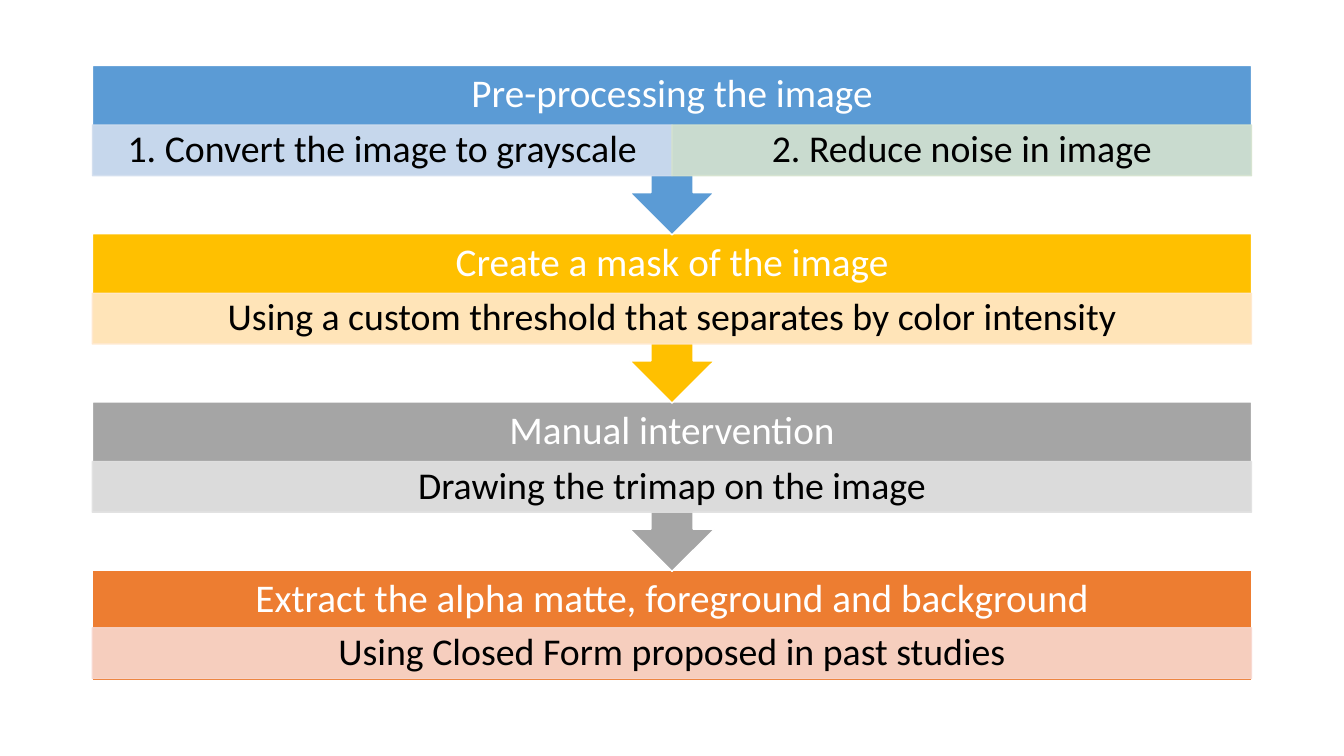
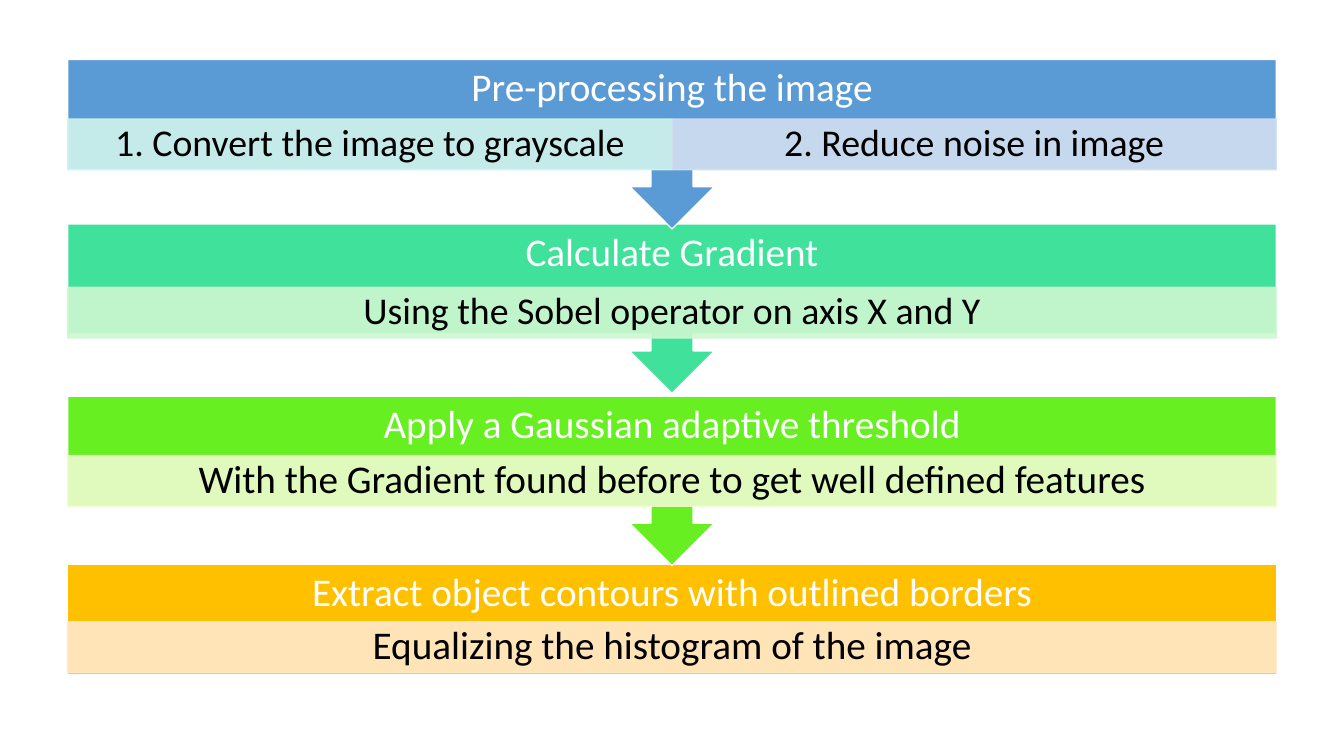
from lxml import etree
from pptx import Presentation
from pptx.dml.color import RGBColor
from pptx.enum.shapes import MSO_SHAPE as Shape
from pptx.enum.text import MSO_ANCHOR as Anchor, PP_ALIGN as Align
from pptx.oxml.ns import qn
from pptx.util import Cm, Pt

WHITE = RGBColor(0xFF, 0xFF, 0xFF)
BLACK = RGBColor(0x00, 0x00, 0x00)
BLUE = RGBColor(0x5B, 0x9B, 0xD5)
GOLD = RGBColor(0xFF, 0xC0, 0x00)
GRAY = RGBColor(0xA5, 0xA5, 0xA5)
ORANGE = RGBColor(0xED, 0x7D, 0x31)
MINT = RGBColor(0x3F, 0xE1, 0x9B)
LIME = RGBColor(0x67, 0xEF, 0x21)
PALE_BLUE = RGBColor(0xD2, 0xDE, 0xEF)
PALE_SKY = RGBColor(0xD2, 0xDF, 0xF0)
PALE_SAGE = RGBColor(0xD5, 0xE3, 0xCF)
PALE_TEAL = RGBColor(0xD0, 0xF4, 0xED)
PALE_GOLD = RGBColor(0xFF, 0xE8, 0xCC)
PALE_GRAY = RGBColor(0xE1, 0xE1, 0xE1)
PALE_ORANGE = RGBColor(0xF8, 0xD7, 0xCE)
PALE_MINT = RGBColor(0xCF, 0xF8, 0xD1)
PALE_LIME = RGBColor(0xED, 0xFC, 0xCD)

FONT = "Calibri"
SLIDE_WIDTH, SLIDE_HEIGHT = 33.87, 19.05
STAGE_PITCH = 4.24
CALLOUT_HEIGHT, LAST_HEIGHT = 4.27, 2.79
TITLE_HEIGHT, LAST_TITLE_HEIGHT = 1.5, 1.45
DETAIL_HEIGHT = 1.28

# Each flow: width, top, stages.
# Each stage: title, colour, upward shift of its block, details (text, colour, size).
FLOWS = [
    (29.21, 1.65, [
        ("Pre-processing the image", BLUE, 0,
         [("1. Convert the image to grayscale", PALE_BLUE, 27),
          ("2. Reduce noise in image", PALE_SAGE, 27)]),
        ("Create a mask of the image", GOLD, 0,
         [("Using a custom threshold that separates by color intensity", PALE_GOLD, 27)]),
        ("Manual intervention", GRAY, 0,
         [("Drawing the trimap on the image", PALE_GRAY, 27)]),
        ("Extract the alpha matte, foreground and background", ORANGE, 0,
         [("Using Closed Form proposed in past studies", PALE_ORANGE, 27)]),
    ]),
    (30.46, 1.5, [
        ("Pre-processing the image", BLUE, 0,
         [("1. Convert the image to grayscale", PALE_TEAL, 27),
          ("2. Reduce noise in image", PALE_SKY, 27)]),
        ("Calculate Gradient", MINT, 0.1,
         [("Using the Sobel operator on axis X and Y", PALE_MINT, 27)]),
        ("Apply a Gaussian adaptive threshold", LIME, 0,
         [("With the Gradient found before to get well defined features", PALE_LIME, 28)]),
        ("Extract object contours with outlined borders", GOLD, 0,
         [("Equalizing the histogram of the image", PALE_GOLD, 28)]),
    ]),
]


def write_centered(box, text, size, color):
    frame = box.text_frame
    frame.word_wrap = True
    frame.vertical_anchor = Anchor.MIDDLE
    frame.margin_left = frame.margin_right = Cm(0.55)
    frame.margin_top = frame.margin_bottom = Cm(0.1)
    paragraph = frame.paragraphs[0]
    paragraph.alignment = Align.CENTER
    paragraph.line_spacing = 0.9
    run = paragraph.add_run()
    run.text = text
    run.font.name = FONT
    run.font.size = Pt(size)
    run.font.color.rgb = color


def add_block(slide, kind, left, top, width, height, fill, line):
    block = slide.shapes.add_shape(kind, Cm(left), Cm(top), Cm(width), Cm(height))
    block.shadow.inherit = False
    block.fill.solid()
    block.fill.fore_color.rgb = fill
    block.line.color.rgb = line
    block.line.width = Pt(1)
    return block


prs = Presentation()
prs.slide_width, prs.slide_height = Cm(SLIDE_WIDTH), Cm(SLIDE_HEIGHT)

for flow_width, flow_top, stages in FLOWS:
    slide = prs.slides.add_slide(prs.slide_layouts[6])
    left = (SLIDE_WIDTH - flow_width) / 2
    last = len(stages) - 1

    # Bottom stage first, so that each arrow tip lies over the stage below it.
    for index, (title, color, shift, details) in reversed(list(enumerate(stages))):
        stage_top = flow_top + index * STAGE_PITCH
        block_top = stage_top - shift
        if index == last:
            add_block(slide, Shape.RECTANGLE, left, block_top,
                      flow_width, LAST_HEIGHT, color, WHITE)
            detail_top = stage_top + LAST_TITLE_HEIGHT
        else:
            callout = add_block(slide, Shape.UP_ARROW_CALLOUT, left, block_top,
                                flow_width, CALLOUT_HEIGHT, color, WHITE)
            callout.rotation = 180
            detail_top = stage_top + TITLE_HEIGHT

        heading = slide.shapes.add_textbox(Cm(left), Cm(block_top),
                                           Cm(flow_width), Cm(TITLE_HEIGHT))
        write_centered(heading, title, 28, WHITE)

        detail_width = flow_width / len(details)
        for column, (text, tint, size) in enumerate(details):
            detail = add_block(slide, Shape.RECTANGLE, left + column * detail_width,
                               detail_top, detail_width, DETAIL_HEIGHT, tint, tint)
            for tint_node in detail.element.spPr.iter(qn("a:srgbClr")):
                etree.SubElement(tint_node, qn("a:alpha"), val="90000")
            write_centered(detail, text, size, BLACK)

prs.save("out.pptx")
